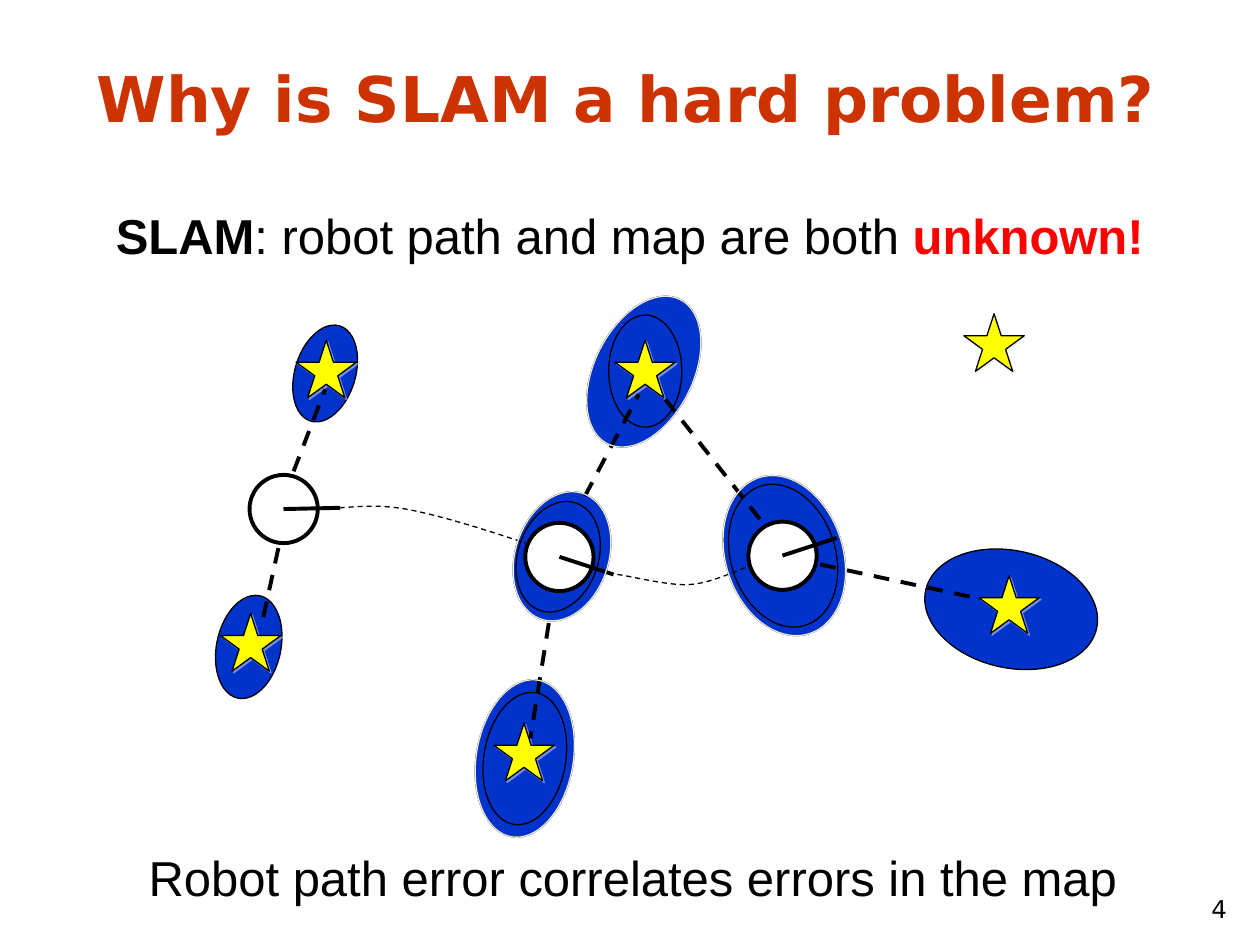
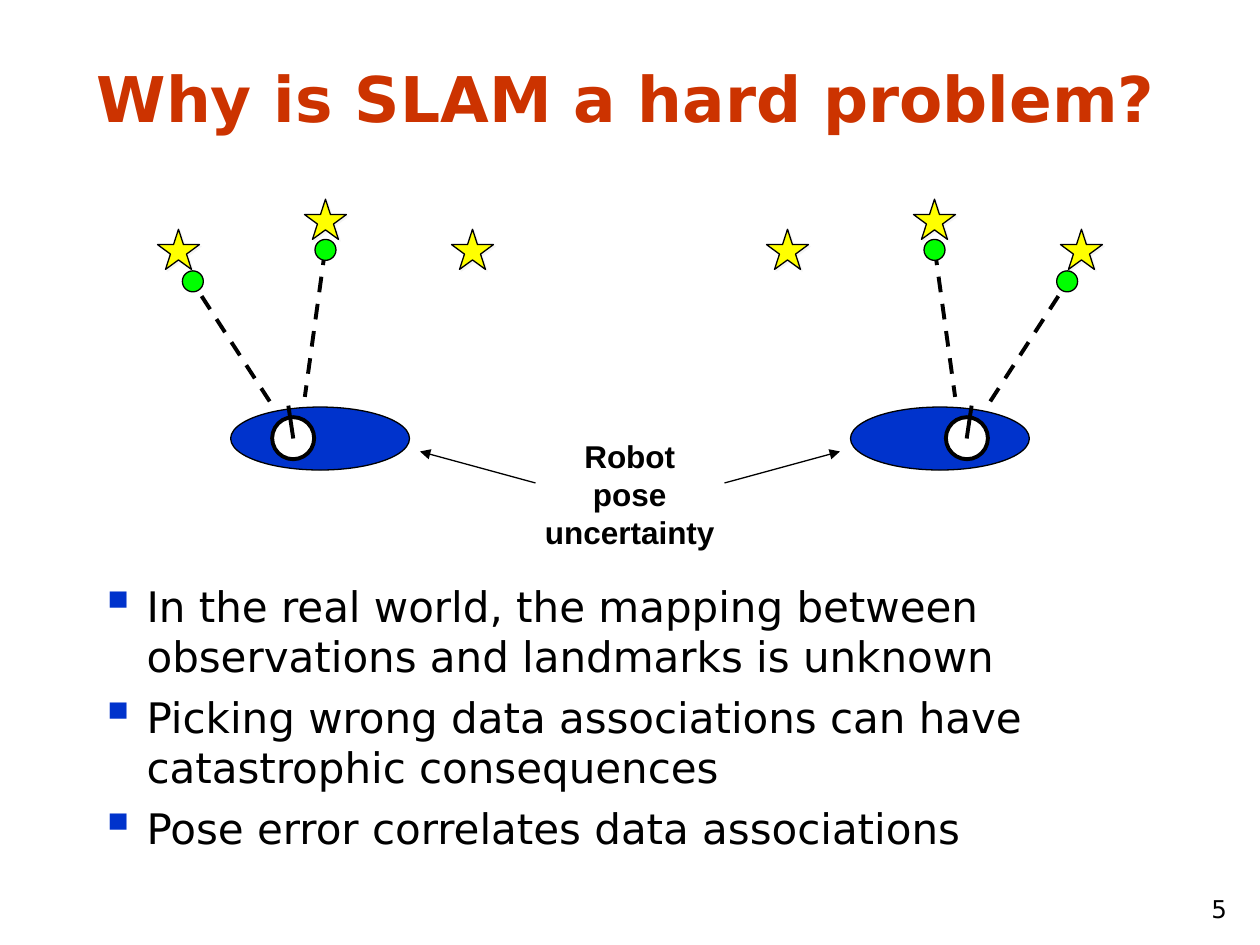
"""Build two slides on why SLAM is a hard problem."""
import dataclasses

import lxml.etree
import pptx
import pptx.dml.color
import pptx.enum.dml
import pptx.enum.shapes
import pptx.enum.text
import pptx.oxml.ns
import pptx.util

Pt = pptx.util.Pt
RGB = pptx.dml.color.RGBColor.from_string
qn = pptx.oxml.ns.qn
SubElement = lxml.etree.SubElement
Align = pptx.enum.text.PP_ALIGN
Anchor = pptx.enum.text.MSO_ANCHOR
OVAL = pptx.enum.shapes.MSO_SHAPE.OVAL
STAR = pptx.enum.shapes.MSO_SHAPE.STAR_5_POINT
STRAIGHT = pptx.enum.shapes.MSO_CONNECTOR.STRAIGHT


@dataclasses.dataclass(frozen=True)
class Theme:
    heading: str = "CC3300"
    ink: str = "000000"
    alert: str = "FF0000"
    uncertainty: str = "0033CC"
    landmark: str = "FFFF00"
    observation: str = "00FF00"
    robot: str = "FFFFFF"
    halo: str = "EAEAEA"
    title_font: str = "DejaVu Sans"
    label_font: str = "Arial"
    title_size: int = 36
    statement_size: int = 28
    body_size: int = 24
    label_size: int = 18
    number_size: int = 14
    thin: float = 0.75
    thick: float = 2.25


theme = Theme()


def write(slide, lines, box, size, font=theme.label_font, color=theme.ink, bold=False,
          align=Align.LEFT, anchor=Anchor.TOP, wrap=False, bullet=None):
    frame = slide.shapes.add_textbox(*map(Pt, box)).text_frame
    frame.word_wrap = wrap
    frame.vertical_anchor = anchor
    for index, line in enumerate(lines):
        paragraph = frame.paragraphs[0] if index == 0 else frame.add_paragraph()
        paragraph.alignment = align
        if bullet:
            props = paragraph._p.get_or_add_pPr()
            props.set("marL", str(Pt(27)))
            props.set("indent", str(-Pt(27)))
            SubElement(SubElement(props, qn("a:buClr")), qn("a:srgbClr"), val=theme.uncertainty)
            SubElement(props, qn("a:buSzPct"), val="120000")
            SubElement(props, qn("a:buChar"), char=bullet)
            if index:
                paragraph.space_before = Pt(6)
        spans = [(line, bold, color)] if isinstance(line, str) else line
        for words, heavy, tint in spans:
            run = paragraph.add_run()
            run.text = words
            run.font.name = font
            run.font.size = Pt(size)
            run.font.bold = heavy
            run.font.color.rgb = RGB(tint)


def draw(slide, kind, at, fill=None, line=theme.ink, weight=theme.thin,
         rotation=0, dashed=False, arrow=False):
    if kind == "line":
        mark = slide.shapes.add_connector(STRAIGHT, *map(Pt, at))
        SubElement(mark._element.spPr, qn("a:effectLst"))
    else:
        if kind == "curve":
            builder = slide.shapes.build_freeform(Pt(at[0][0]), Pt(at[0][1]))
            points = []
            for start in range(0, len(at) - 1, 3):
                a, b, c, d = at[start:start + 4]
                for step in range(1, 13):
                    t = step / 12
                    u = 1 - t
                    points.append([Pt(u**3 * a[i] + 3 * u * u * t * b[i]
                                      + 3 * u * t * t * c[i] + t**3 * d[i]) for i in (0, 1)])
            builder.add_line_segments(points, close=False)
            mark = builder.convert_to_shape()
        else:
            mark = slide.shapes.add_shape(kind, *map(Pt, at))
            mark.rotation = rotation
        mark.shadow.inherit = False
        if fill:
            mark.fill.solid()
            mark.fill.fore_color.rgb = RGB(fill)
        else:
            mark.fill.background()
    mark.line.color.rgb = RGB(line)
    mark.line.width = Pt(weight)
    if dashed:
        mark.line.dash_style = pptx.enum.dml.MSO_LINE.DASH
    if arrow:
        SubElement(mark.line._get_or_add_ln(), qn("a:tailEnd"), type="triangle")
    if kind == STAR:
        effects = mark._element.spPr.find(qn("a:effectLst"))
        shadow = SubElement(effects, qn("a:outerShdw"), dist=str(Pt(1.4)), dir="2700000")
        tint = SubElement(shadow, qn("a:srgbClr"), val=theme.halo)
        SubElement(tint, qn("a:alpha"), val="50000")


deck = pptx.Presentation()
deck.slide_width, deck.slide_height = Pt(720), Pt(540)
slides = []
for number in ("4", "5"):
    slide = deck.slides.add_slide(deck.slide_layouts[6])
    write(slide, ["Why is SLAM a hard problem?"], (48.2, 30.2, 663, 50.4), theme.title_size,
          font=theme.title_font, color=theme.heading, bold=True, anchor=Anchor.BOTTOM, wrap=True)
    write(slide, [number], (660, 495.4, 48.2, 36), theme.number_size, font=theme.title_font,
          align=Align.RIGHT, anchor=Anchor.BOTTOM, wrap=True)
    slides.append(slide)
path_slide, association_slide = slides

statement = [("SLAM", True, theme.ink), (": robot path and map are both ", False, theme.ink),
             ("unknown! ", True, theme.alert)]
write(path_slide, [statement], (55.4, 113.8, 609, 41), theme.statement_size, align=Align.CENTER)
write(path_slide, ["Robot path error correlates errors in the map"], (77.8, 481, 567.4, 41),
      theme.statement_size, align=Align.CENTER)

grown_errors = [
    ((272.2, 388.1, 55.4, 90.7), 9.5),
    ((339.8, 166.3, 56.2, 92.2), 26.8),
    ((414.7, 270.7, 67, 93.6), 342.1),
    ((294.5, 280.1, 53.3, 75.6), 18.1),
]
first_errors = [
    ((276.5, 395.3, 46.8, 76.3), 9.5),
    ((347.8, 180, 41.8, 64.1), 0),
    ((544.3, 298.1, 67, 100.1), 102.6),
    ((123.8, 339.8, 36.7, 59.8), 12.1),
    ((168.5, 185, 34.6, 56.9), 16.9),
]
pose_errors = [((417.6, 275.8, 59.8, 83.5), 342.1), ((295.9, 285.8, 46.1, 64.8), 18.1)]
landmarks = [(169.2, 194.4), (126, 350.6), (282.2, 413.3), (351.4, 194.4), (559.4, 329),
             (550.8, 179.3)]
early_sightings = [(159.1, 313.2, 149, 359.3), (167.8, 269.3, 185.8, 222.5),
                   (316.1, 340.6, 303.1, 421.9), (326.9, 297.4, 365, 225.4)]
late_sightings = [(468.7, 322.6, 555.8, 341.3), (434.2, 296.6, 380.2, 228.2)]
robots = [
    ((142.6, 271.4), (162, 290.9, 194.4, 290.2), None),
    ((300.2, 298.8), (319.7, 318.2, 350.6, 328.3), theme.robot),
    ((427.7, 298.1), (447.1, 317.5, 478.1, 307.4), theme.robot),
]
robot_paths = [
    [(194, 290.2), (205.9, 289.4), (218.2, 288), (235.4, 291.6),
     (253.4, 295.2), (276.5, 302.4), (300.2, 310.3)],
    [(352.8, 328.3), (359.3, 329), (381.6, 334.8), (393.8, 334.1),
     (406.1, 333.4), (420.5, 326.2), (427, 324)],
]

for box, angle in grown_errors + first_errors:
    draw(path_slide, OVAL, box, theme.uncertainty, rotation=angle)
for left, top in landmarks:
    draw(path_slide, STAR, (left, top, 34.5, 33), theme.landmark)
for sighting in early_sightings:
    draw(path_slide, "line", sighting, weight=theme.thick, dashed=True)
for box, angle in pose_errors:
    draw(path_slide, OVAL, box, theme.uncertainty, rotation=angle)
for (left, top), heading, fill in robots:
    draw(path_slide, OVAL, (left, top, 39, 39), fill, weight=theme.thick)
    draw(path_slide, "line", heading, weight=theme.thick)
for robot_path in robot_paths:
    draw(path_slide, "curve", robot_path, dashed=True)
for sighting in late_sightings:
    draw(path_slide, "line", sighting, weight=theme.thick, dashed=True)
for box, angle in grown_errors:
    draw(path_slide, OVAL, box, line=theme.halo, rotation=angle)

write(association_slide,
      ["In the real world, the mapping between observations and landmarks is unknown",
       "Picking wrong data associations can have catastrophic consequences",
       "Pose error correlates data associations"],
      (49.7, 328, 612, 172.8), theme.body_size, font=theme.title_font, wrap=True, bullet="▪")
write(association_slide, ["Robot pose", "uncertainty"], (303.4, 246.2, 113, 50.4),
      theme.label_size, bold=True, align=Align.CENTER)

thick = {"weight": theme.thick}
dashed = {"weight": theme.thick, "dashed": True}
scene = [
    (STAR, (90, 131, 24, 23), {"fill": theme.landmark}),
    (STAR, (174, 113.8, 24, 23), {"fill": theme.landmark}),
    (STAR, (258, 131, 24, 23), {"fill": theme.landmark}),
    (OVAL, (131.8, 232.6, 102.2, 36), {"fill": theme.uncertainty}),
    (OVAL, (155.5, 238.4, 24, 24), {"fill": theme.robot, **thick}),
    ("line", (167.6, 250.6, 164.8, 231.8), thick),
    ("line", (115.2, 169.2, 156.2, 232.6), dashed),
    ("line", (185.8, 142.6, 174.2, 226.8), dashed),
    (OVAL, (104.2, 154.8, 12, 12), {"fill": theme.observation}),
    (OVAL, (180, 136.8, 12, 12), {"fill": theme.observation}),
    ("line", (306, 276, 240, 258), {"arrow": True}),
]
for mirrored in (False, True):
    for kind, (x, y, across, down), style in scene:
        if mirrored and kind == "line":
            x, across = 720 - x, 720 - across
        elif mirrored:
            x = 720 - x - across
        draw(association_slide, kind, (x, y, across, down), **style)

deck.save("out.pptx")
